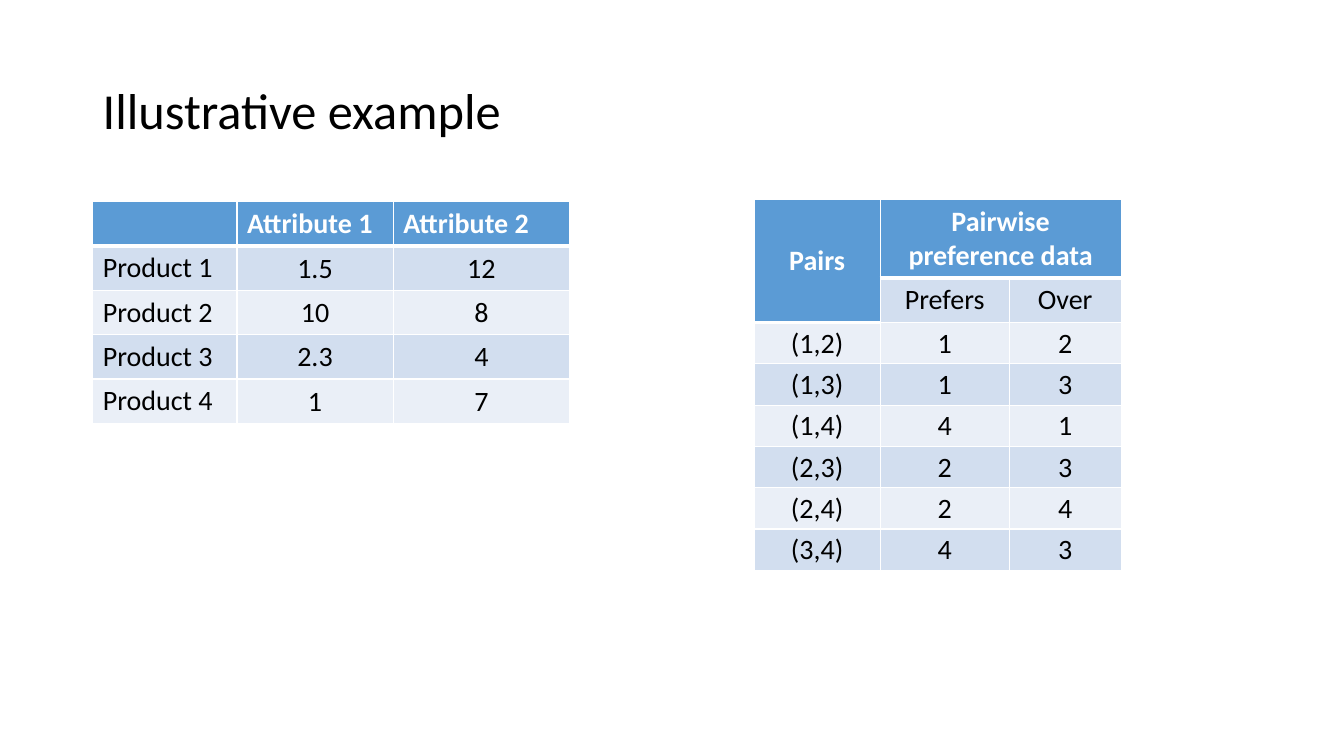
from lxml.etree import SubElement
from pptx import Presentation
from pptx.dml.color import RGBColor
from pptx.enum.text import MSO_ANCHOR, PP_ALIGN
from pptx.oxml.ns import qn
from pptx.util import Inches, Pt

COLORS = {
    "text": "000000",
    "white": "FFFFFF",
    "header": "5B9BD5",
    "band_dark": "D2DEEF",
    "band_light": "EAEFF7",
}

ATTRIBUTES = [
    ["", "Attribute 1", "Attribute 2"],
    ["Product 1", "1.5", "12"],
    ["Product 2", "10", "8"],
    ["Product 3", "2.3", "4"],
    ["Product 4", "1", "7"],
]
PREFERENCES = [
    ["Pairs", "Pairwise preference data", ""],
    ["", "Prefers", "Over"],
    ["(1,2)", "1", "2"],
    ["(1,3)", "1", "3"],
    ["(1,4)", "4", "1"],
    ["(2,3)", "2", "3"],
    ["(2,4)", "2", "4"],
    ["(3,4)", "4", "3"],
]


def write(tf, text, size=20, color="text", bold=False, align=PP_ALIGN.LEFT, spacing=None):
    p = tf.paragraphs[0]
    p.alignment = align
    p.line_spacing = spacing
    p.font.size = Pt(size)
    if text:
        r = p.add_run()
        r.text = text
        r.font.name = "Calibri"
        r.font.size = Pt(size)
        r.font.bold = bold
        r.font.color.rgb = RGBColor.from_string(COLORS[color])


def add_borders(cell, bottom=1):
    tcPr = cell._tc.get_or_add_tcPr()
    for side, width in (("L", 1), ("R", 1), ("T", 1), ("B", bottom)):
        ln = SubElement(tcPr, qn(f"a:ln{side}"), w=str(Pt(width)))
        fill = SubElement(ln, qn("a:solidFill"))
        SubElement(fill, qn("a:srgbClr"), val=COLORS["white"])


class SlideBuilder:
    def __init__(self, prs):
        self.s = prs.slides.add_slide(prs.slide_layouts[6])

    def title(self, text, left, top, width, height):
        box = self.s.shapes.add_textbox(
            Inches(left), Inches(top), Inches(width), Inches(height))
        tf = box.text_frame
        tf.word_wrap = True
        tf.vertical_anchor = MSO_ANCHOR.MIDDLE
        write(tf, text, size=36, spacing=0.9)

    def table(self, data, left, top, widths, heights, headers, tight, centered):
        """headers and tight are sets of (row, column); centered tells which cells are centred."""
        frame = self.s.shapes.add_table(
            len(data), len(widths), Inches(left), Inches(top),
            Inches(sum(widths)), Inches(sum(heights)))
        table = frame.table
        for column, width in zip(table.columns, widths):
            column.width = Inches(width)
        for row, height in zip(table.rows, heights):
            row.height = Inches(height)
        for i, values in enumerate(data):
            for j, text in enumerate(values):
                cell = table.cell(i, j)
                header = (i, j) in headers
                band = "band_dark" if i % 2 else "band_light"
                add_borders(cell, bottom=3 if header else 1)
                cell.fill.solid()
                cell.fill.fore_color.rgb = RGBColor.from_string(
                    COLORS["header" if header else band])
                cell.vertical_anchor = MSO_ANCHOR.MIDDLE
                if (i, j) in tight:
                    cell.margin_left = cell.margin_right = cell.margin_top = Inches(0.01)
                    cell.margin_bottom = 0
                write(cell.text_frame, text, bold=header,
                      color="white" if header else "text",
                      align=PP_ALIGN.CENTER if (i, j) in centered else PP_ALIGN.LEFT)
        return table


def cells(rows, columns):
    return {(i, j) for i in rows for j in columns}


def main():
    prs = Presentation()
    prs.slide_width, prs.slide_height = Inches(13.33), Inches(7.5)
    slide = SlideBuilder(prs)
    slide.title("Illustrative example", 0.92, 0.4, 11.5, 1.45)

    values = cells(range(1, 5), (1, 2))
    slide.table(ATTRIBUTES, 0.92, 2, [1.43, 1.55, 1.75], [0.44] * 5,
                headers=cells([0], range(3)), tight=values, centered=values)

    pairs = slide.table(PREFERENCES, 7.48, 1.98, [1.25, 1.28, 1.11],
                        [0.78, 0.44] + [0.41] * 6,
                        headers=cells([0], range(3)) | {(1, 0)},
                        tight=cells(range(2, 8), range(3)),
                        centered=cells(range(8), range(3)))
    pairs.cell(0, 0).merge(pairs.cell(1, 0))
    pairs.cell(0, 1).merge(pairs.cell(0, 2))
    prs.save("out.pptx")


if __name__ == "__main__":
    main()
